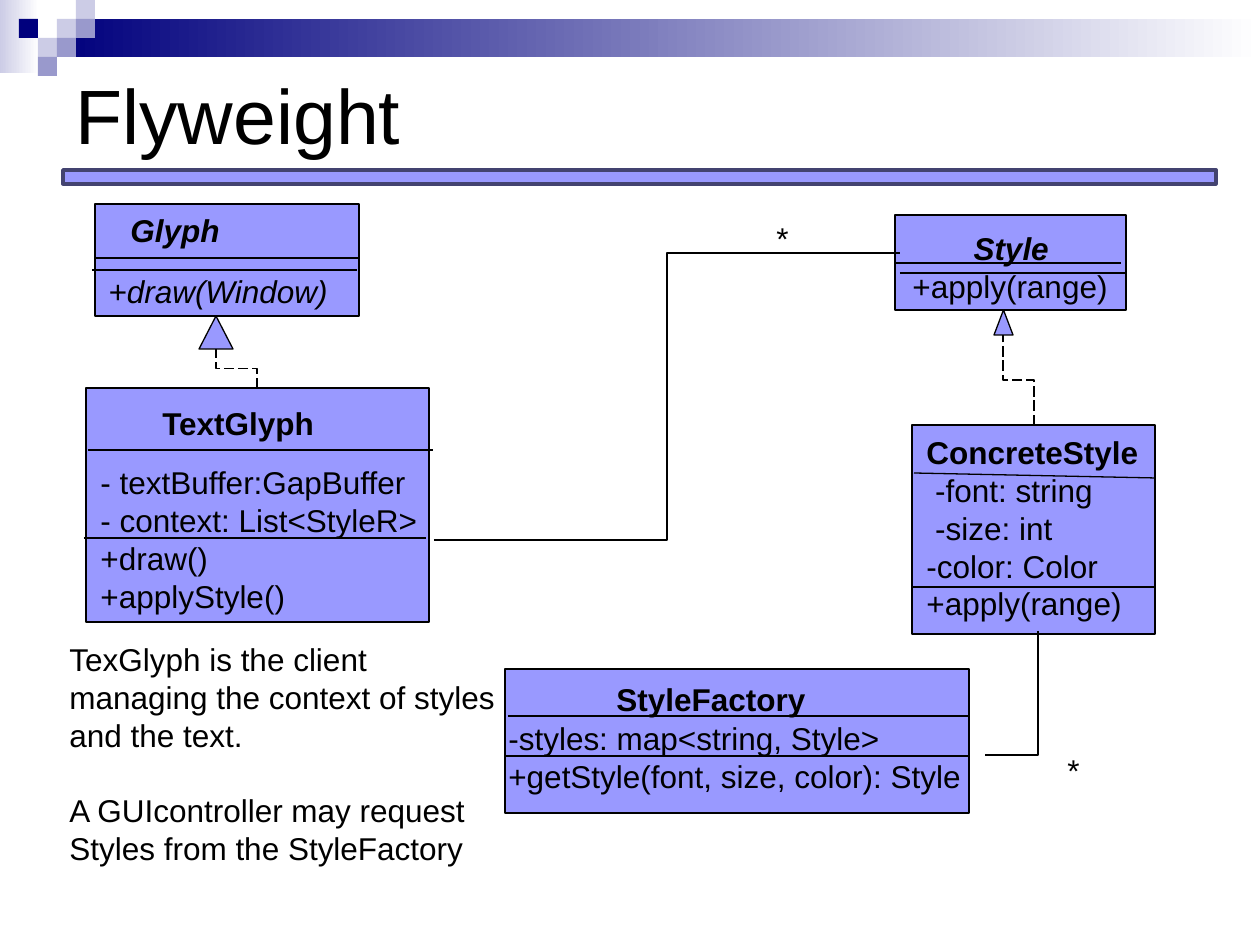
from dataclasses import dataclass
from typing import NamedTuple

from pptx import Presentation
from pptx.dml.color import RGBColor
from pptx.enum.dml import MSO_LINE
from pptx.enum.shapes import MSO_CONNECTOR, MSO_SHAPE
from pptx.enum.text import MSO_ANCHOR, MSO_AUTO_SIZE, PP_ALIGN
from pptx.oxml.ns import qn
from pptx.util import Emu, Pt

RECT = MSO_SHAPE.RECTANGLE
TRIANGLE = MSO_SHAPE.ISOSCELES_TRIANGLE
STRAIGHT, ELBOW = MSO_CONNECTOR.STRAIGHT, MSO_CONNECTOR.ELBOW
LONG_DASH = MSO_LINE.LONG_DASH
LEFT, CENTER = PP_ALIGN.LEFT, PP_ALIGN.CENTER
FIT, MIDDLE = MSO_AUTO_SIZE.SHAPE_TO_FIT_TEXT, MSO_ANCHOR.MIDDLE

PX_PER_INCH = 126
FONT = "Arial"
BLACK, WHITE = "000000", "FFFFFF"
LILAC, NAVY, PALE, MID = "9999FF", "00007D", "CCCCE6", "9999CC"


class Box(NamedTuple):
    left: int
    top: int
    width: int
    height: int


class Segment(NamedTuple):
    x1: int
    y1: int
    x2: int
    y2: int


class Line(NamedTuple):
    text: str
    bold: bool = False
    italic: bool = False
    align: PP_ALIGN = LEFT
    before: float = 0


@dataclass
class Label:
    box: Box
    lines: list[Line]
    wrap: bool = True


@dataclass
class UmlClass:
    box: Box
    dividers: list[Segment]
    labels: list[Label]


def px(length: float) -> Emu:
    return Emu(round(length * 914400 / PX_PER_INCH))


def rgb(code: str) -> RGBColor:
    return RGBColor.from_string(code)


def add_block(slide, box: Box, fill: str, line: str = "", weight: float = 0.75,
              kind: MSO_SHAPE = RECT, fade_to: str = "") -> None:
    block = slide.shapes.add_shape(kind, *map(px, box))
    block.shadow.inherit = False
    if fade_to:
        block.fill.gradient()
        block.fill.gradient_angle = 0
        for stop, color, position in zip(block.fill.gradient_stops, (fill, fade_to), (0, 1)):
            stop.color.rgb = rgb(color)
            stop.position = position
    else:
        block.fill.solid()
        block.fill.fore_color.rgb = rgb(fill)
    if line:
        block.line.color.rgb = rgb(line)
        block.line.width = Pt(weight)
    else:
        block.line.fill.background()


def add_link(slide, ends: Segment, kind: MSO_CONNECTOR = STRAIGHT, dashed: bool = False):
    link = slide.shapes.add_connector(kind, *map(px, ends))
    link.line.color.rgb = rgb(BLACK)
    link.line.width = Pt(0.75)
    if dashed:
        link.line.dash_style = LONG_DASH
    properties = link._element.spPr
    properties.append(properties.makeelement(qn("a:effectLst"), {}))
    return link


def add_vertical_elbow(slide, ends: Segment, dashed: bool = False, one_bend: bool = False) -> None:
    """Elbow that leaves its start vertically and ends to the left of it."""
    link = add_link(slide, ends, ELBOW, dashed)
    run, rise = abs(ends.y2 - ends.y1), abs(ends.x2 - ends.x1)
    link.left = px((ends.x1 + ends.x2 - run) / 2)
    link.top = px((ends.y1 + ends.y2 - rise) / 2)
    link.width, link.height = px(run), px(rise)
    upward = ends.y2 < ends.y1
    frame = link._element.spPr.find(qn("a:xfrm"))
    frame.set("rot", str((270 if upward else 90) * 60000))
    frame.set("flipH", "0")
    frame.set("flipV", "1" if upward else "0")
    if one_bend:
        link._element.spPr.find(qn("a:prstGeom")).set("prst", "bentConnector2")


def add_label(slide, label: Label, size: int = 18):
    frame = slide.shapes.add_textbox(*map(px, label.box)).text_frame
    frame.word_wrap = label.wrap
    frame.auto_size = FIT
    for index, line in enumerate(label.lines):
        paragraph = frame.add_paragraph() if index else frame.paragraphs[0]
        paragraph.alignment = line.align
        if line.before:
            paragraph.space_before = Pt(line.before)
        run = paragraph.add_run()
        run.text = line.text
        run.font.name, run.font.size = FONT, Pt(size)
        run.font.bold, run.font.italic = line.bold, line.italic
        run.font.color.rgb = rgb(BLACK)
    return frame


def add_uml_class(slide, uml: UmlClass) -> None:
    add_block(slide, uml.box, LILAC, BLACK)
    for divider in uml.dividers:
        add_link(slide, divider)
    for label in uml.labels:
        add_label(slide, label)


CELL = 19
# column, row and colour of each square in the corner mosaic
MOSAIC = [(3, 1, PALE), (4, 0, PALE), (4, 1, MID), (2, 2, PALE),
          (1, 1, NAVY), (3, 2, MID), (2, 3, MID)]

CLASSES = [
    UmlClass(Box(505, 669, 464, 144),
             [Segment(505, 756, 969, 756), Segment(508, 716, 970, 716)],
             [Label(Box(507, 674, 408, 50), [Line("StyleFactory", bold=True, align=CENTER)]),
              Label(Box(496, 713, 489, 83), [Line("-styles: map<string, Style>"),
                                             Line("+getStyle(font, size, color): Style")], False)]),
    UmlClass(Box(895, 215, 231, 95),
             [Segment(900, 273, 1126, 273), Segment(895, 263, 1121, 263)],
             [Label(Box(900, 223, 231, 60), [Line("Style ", True, True, CENTER),
                                             Line("+apply(range)")])]),
    UmlClass(Box(912, 425, 243, 209),
             [Segment(912, 587, 1155, 587), Segment(914, 473, 1155, 478)],
             [Label(Box(914, 427, 248, 204), [Line("ConcreteStyle", bold=True),
                                              Line(" -font: string"), Line(" -size: int"),
                                              Line("-color: Color"), Line("+apply(range)")], False)]),
    UmlClass(Box(95, 204, 264, 112),
             [Segment(95, 258, 358, 258), Segment(92, 270, 357, 270)],
             [Label(Box(118, 205, 227, 50), [Line("Glyph", True, True)]),
              Label(Box(96, 266, 247, 50), [Line("+draw(Window)", italic=True)], False)]),
    UmlClass(Box(86, 388, 343, 234),
             [Segment(88, 450, 433, 450), Segment(84, 538, 426, 538)],
             [Label(Box(150, 398, 314, 50), [Line("TextGlyph", bold=True)]),
              Label(Box(88, 457, 347, 165), [Line("- textBuffer:GapBuffer"),
                                             Line("- context: List<StyleR>"),
                                             Line("+draw()"), Line("+applyStyle()")])]),
]

NOTES = [
    Label(Box(764, 213, 38, 50), [Line("*")], False),
    Label(Box(1055, 745, 38, 50), [Line("*")], False),
    Label(Box(57, 634, 455, 242), [Line("TexGlyph is the client"),
                                   Line("managing the context of styles"),
                                   Line("and the text."),
                                   Line("A GUIcontroller may request", before=21.6),
                                   Line("Styles from the StyleFactory")], False),
]


def main() -> None:
    deck = Presentation()
    deck.slide_width, deck.slide_height = px(1260), px(945)
    slide = deck.slides.add_slide(deck.slide_layouts[6])

    # Header decoration
    add_block(slide, Box(0, 0, 39, 73), PALE, fade_to=WHITE)
    add_block(slide, Box(57, 19, 1203, 38), NAVY, fade_to=WHITE)
    for column, row, color in MOSAIC:
        add_block(slide, Box(column * CELL, row * CELL, CELL, CELL), color)
    add_block(slide, Box(63, 170, 1153, 14), LILAC, "434370", 2)

    # Title
    title = add_label(slide, Label(Box(63, 19, 1134, 189), [Line("Flyweight")]), 44)
    title.auto_size = MSO_AUTO_SIZE.NONE
    title.vertical_anchor = MIDDLE

    # Classes
    for uml in CLASSES:
        add_uml_class(slide, uml)

    # Inheritance
    for head in (Box(199, 316, 34, 33), Box(994, 310, 19, 25)):
        add_block(slide, head, LILAC, BLACK, kind=TRIANGLE)
    for ends in (Segment(257, 388, 216, 349), Segment(1034, 425, 1003, 335)):
        add_vertical_elbow(slide, ends, dashed=True)

    # Associations and notes
    add_link(slide, Segment(434, 540, 900, 253), ELBOW)
    add_vertical_elbow(slide, Segment(1038, 631, 985, 755), one_bend=True)
    for note in NOTES:
        add_label(slide, note)

    deck.save("out.pptx")


if __name__ == "__main__":
    main()
